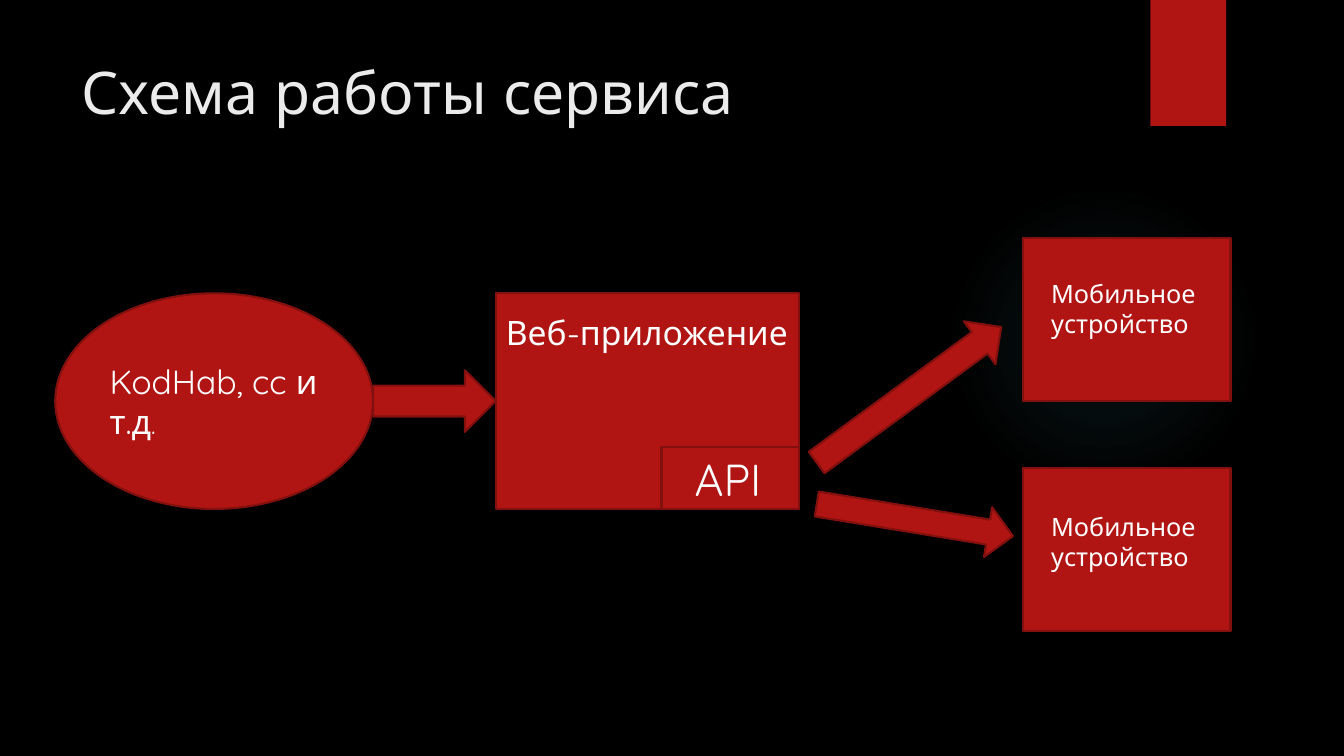
import pptx
import pptx.dml.color
import pptx.enum.shapes
import pptx.oxml
import pptx.oxml.ns
import pptx.util

Pt = pptx.util.Pt
RGBColor = pptx.dml.color.RGBColor
SHAPE = pptx.enum.shapes.MSO_SHAPE

BLACK = RGBColor(0x00, 0x00, 0x00)
RED = RGBColor(0xB0, 0x15, 0x13)
DARK_RED = RGBColor(0x82, 0x10, 0x0E)
TEAL = RGBColor(0x50, 0xB9, 0xC1)
LIGHT = RGBColor(0xEB, 0xEB, 0xEB)
WHITE = RGBColor(0xFF, 0xFF, 0xFF)
FONT = "Quicksand"


class SlideBuilder:
    """Draws elements in the shared style on one slide; lengths in points."""

    def __init__(self, slide):
        """Keep the slide and paint its background."""
        self.s = slide
        fill = slide.background.fill
        fill.solid()
        fill.fore_color.rgb = BLACK

    def shape(self, kind, x, y, w, h, outlined=True, rotation=0):
        """Add a red preset shape, by default with a dark red outline."""
        sp = self.s.shapes.add_shape(kind, Pt(x), Pt(y), Pt(w), Pt(h))
        sp.shadow.inherit = False
        sp.rotation = rotation
        sp.fill.solid()
        sp.fill.fore_color.rgb = RED
        if outlined:
            sp.line.color.rgb = DARK_RED
            sp.line.width = Pt(1.5)
        else:
            sp.line.fill.background()
        return sp

    def glow(self, x, y, size, stops):
        """Add a round glow; stops are (position, opacity) in percent."""
        sp = self.shape(SHAPE.OVAL, x, y, size, size, outlined=False)
        gs = "".join(
            f'<a:gs pos="{pos * 1000}"><a:srgbClr val="{TEAL}">'
            f'<a:alpha val="{alpha * 1000}"/></a:srgbClr></a:gs>'
            for pos, alpha in stops)
        grad = pptx.oxml.parse_xml(
            f'<a:gradFill {pptx.oxml.ns.nsdecls("a")}><a:gsLst>{gs}</a:gsLst>'
            '<a:path path="circle"><a:fillToRect l="50000" t="50000" '
            'r="50000" b="50000"/></a:path></a:gradFill>')
        solid = sp.element.spPr.find(pptx.oxml.ns.qn("a:solidFill"))
        sp.element.spPr.replace(solid, grad)

    def text(self, content, x, y, w, h, size, color=WHITE, wrap=True):
        """Add a text box with one paragraph and return the paragraph."""
        tf = self.s.shapes.add_textbox(Pt(x), Pt(y), Pt(w), Pt(h)).text_frame
        tf.word_wrap = wrap
        p = tf.paragraphs[0]
        p.add_run().text = content
        p.font.name = FONT
        p.font.size = Pt(size)
        p.font.color.rgb = color
        return p


def main():
    """Build the service diagram and save it."""
    prs = pptx.Presentation()
    prs.slide_width, prs.slide_height = Pt(960), Pt(540)
    b = SlideBuilder(prs.slides.add_slide(prs.slide_layouts[6]))

    b.glow(677.5, 132, 222, [(0, 7), (36, 6), (69, 0)])
    b.shape(SHAPE.RECTANGLE, 821.75, 0, 54, 90, outlined=False)
    b.text("Схема работы сервиса", 51, 36, 741, 110, 42, LIGHT)

    top, height = 209.5, 154
    b.shape(SHAPE.OVAL, 39.5, top, 227, height)
    p = b.text("KodHab, cc и т.д", 71.3, 254.2, 185, 65.5, 24)
    r = p.add_run()
    r.text = "."
    r.font.size = Pt(18)

    app_x, app_w = 354.25, 216.75
    b.shape(SHAPE.RECTANGLE, app_x, top, app_w, height)
    b.text("Веб-приложение", app_x, 219, 223, 36, 24, wrap=False)
    api_w, api_h = 98.5, 44.5
    api_x, api_y = app_x + app_w - api_w, top + height - api_h
    b.shape(SHAPE.RECTANGLE, api_x, api_y, api_w, api_h)
    b.text("API", 489, api_y, 65, 46, 32, wrap=False)

    for box_y, text_y in ((170, 195), (334, 361.5)):
        b.shape(SHAPE.RECTANGLE, 730.5, box_y, 148.5, 116.75)
        b.text("Мобильное устройство", 743.75, text_y, 122.5, 51, 18)

    for x, y, w, h, rotation in ((266.5, 264.5, 87.5, 44, 0),
                                 (582.5, 353.5, 142, 36, 9.3),
                                 (567.5, 263, 163.5, 38, 323.7)):
        b.shape(SHAPE.RIGHT_ARROW, x, y, w, h, rotation=rotation)

    prs.save("out.pptx")


main()
